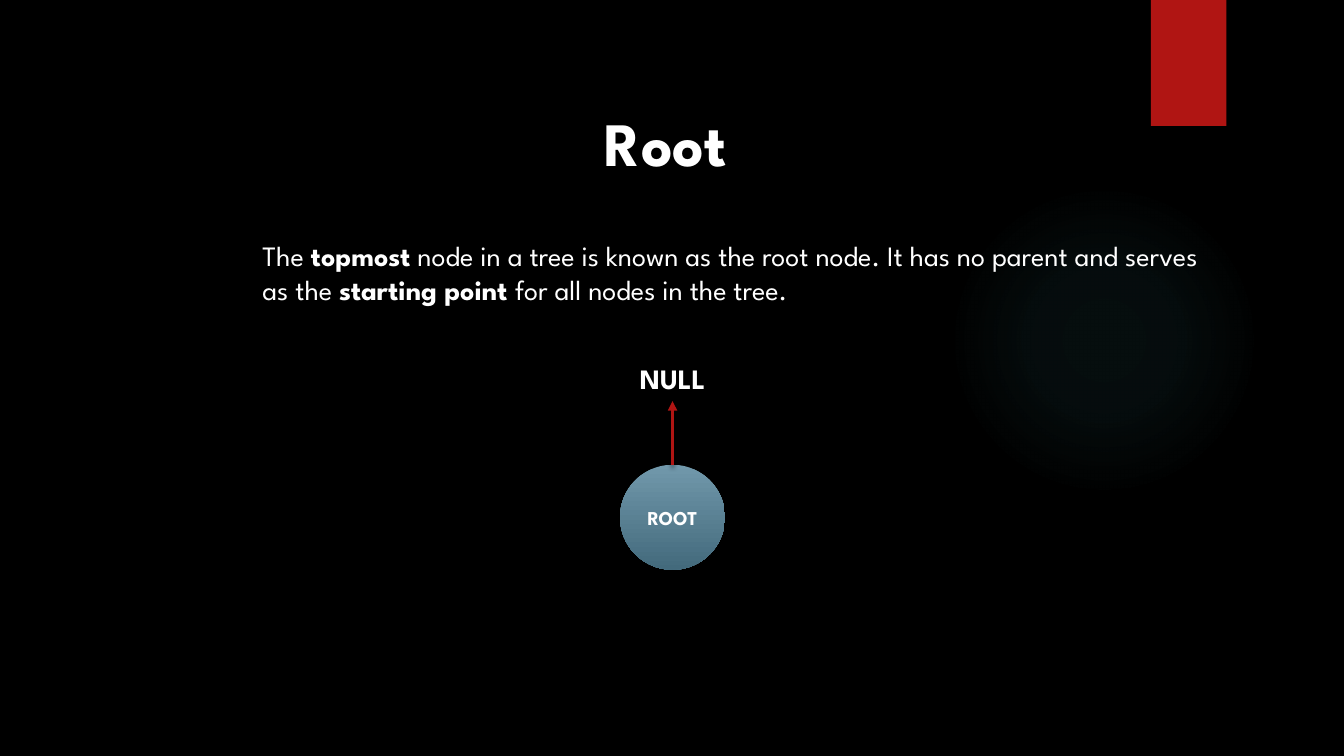
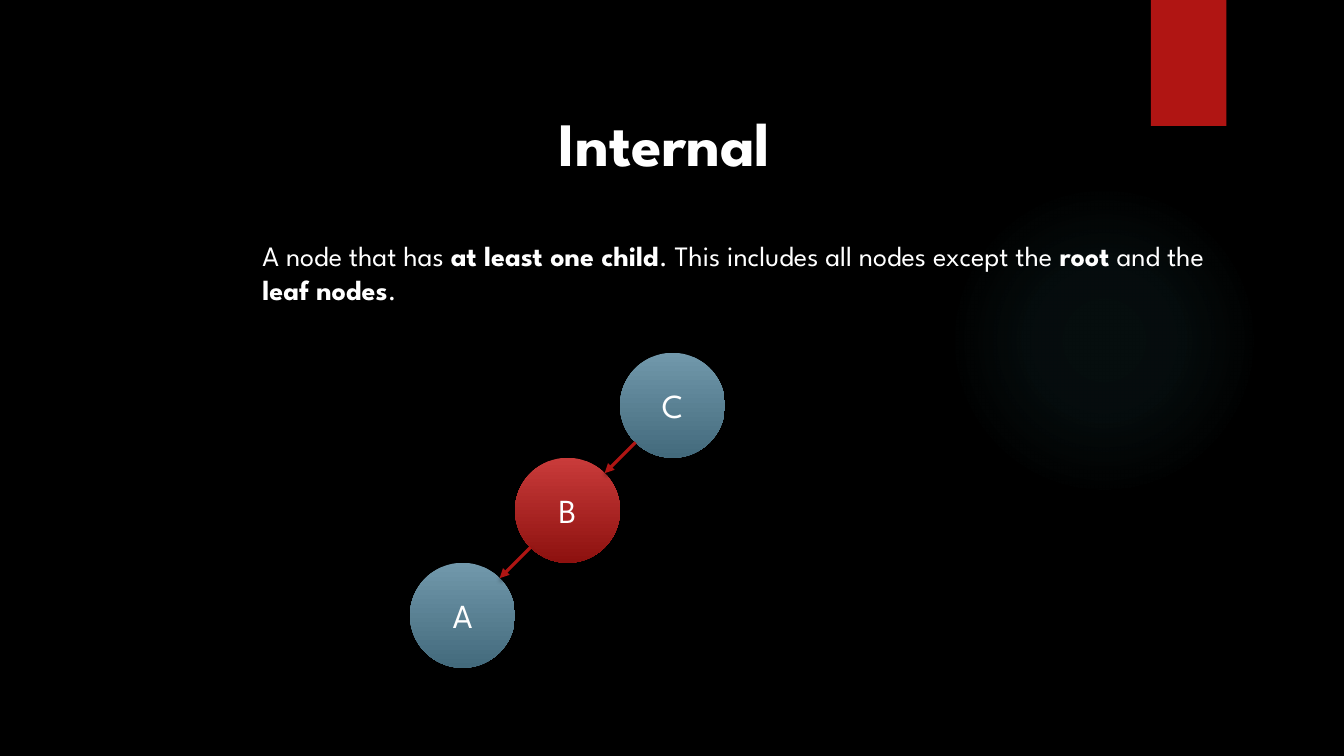
from math import sqrt

from lxml import etree
from pptx import Presentation
from pptx.dml.color import RGBColor
from pptx.enum.shapes import MSO_CONNECTOR, MSO_SHAPE
from pptx.enum.text import MSO_ANCHOR, MSO_AUTO_SIZE, PP_ALIGN
from pptx.oxml import parse_xml
from pptx.oxml.ns import nsdecls, qn
from pptx.util import Pt

# Content: body runs are (text, bold)
ROOT_TITLE = ("Root", 110.5)
ROOT_BODY = [
    ("The ", False),
    ("topmost", True),
    (" node in a tree is known as the root node. It has no parent and serves as the ", False),
    ("starting point ", True),
    ("for all nodes in the tree.", False),
]
INTERNAL_TITLE = ("Internal", 176)
INTERNAL_BODY = [
    ("A node that has ", False),
    ("at least one child", True),
    (". This includes all nodes except the ", False),
    ("root", True),
    (" and the ", False),
    ("leaf nodes", True),
    (".", False),
]

# Shared style
FONT = "League Spartan"
BLACK, WHITE, RED, TEAL = "000000", "FFFFFF", "B01513", "50B9C1"
BLUE_NODE = ("7198AB", "436A7C")
RED_NODE = ("C93B3A", "8D110F")
CHAIN = [("C", BLUE_NODE), ("B", RED_NODE), ("A", BLUE_NODE)]
GLOW_STOPS = [(0, 7), (36, 6), (69, 0)]  # position %, opacity %
WIDTH, HEIGHT = 960, 540
CENTER = WIDTH / 2
NODE = 75
NODE_CENTER = 480.4


def color(value):
    return RGBColor.from_string(value)


def add_span(para, text, size, bold=False):
    span = para.add_run()
    span.text = text
    span.font.name = FONT
    span.font.size = Pt(size)
    span.font.bold = bold
    span.font.color.rgb = color(WHITE)


def place(shape, left, top, width, height):
    shape.left, shape.top = Pt(left), Pt(top)
    shape.width, shape.height = Pt(width), Pt(height)


def add_shadow(shape, opacity, blur, distance):
    shape.element.spPr.append(parse_xml(
        f'<a:effectLst {nsdecls("a")}><a:outerShdw blurRad="{Pt(blur)}" dist="{Pt(distance)}" '
        f'dir="5400000" rotWithShape="0"><a:srgbClr val="{BLACK}">'
        f'<a:alpha val="{opacity * 1000}"/></a:srgbClr></a:outerShdw></a:effectLst>'))


def add_plain_shape(page, kind, left, top, width, height):
    shape = page.shapes.add_shape(kind, Pt(left), Pt(top), Pt(width), Pt(height))
    shape.line.fill.background()
    return shape


def add_backdrop(page):
    """Draw the glow and the ribbon behind the text."""
    glow = add_plain_shape(page, MSO_SHAPE.OVAL, 677.5, 131.75, 222, 222)
    glow.shadow.inherit = False
    stops = "".join(
        f'<a:gs pos="{position * 1000}"><a:srgbClr val="{TEAL}">'
        f'<a:alpha val="{opacity * 1000}"/></a:srgbClr></a:gs>'
        for position, opacity in GLOW_STOPS)
    glow.element.spPr.find(qn("a:prstGeom")).addnext(parse_xml(
        f'<a:gradFill {nsdecls("a")}><a:gsLst>{stops}</a:gsLst><a:path path="circle">'
        '<a:fillToRect l="50000" t="50000" r="50000" b="50000"/></a:path></a:gradFill>'))

    ribbon = add_plain_shape(page, MSO_SHAPE.RECTANGLE, 822, 0, 54, 90)
    ribbon.fill.solid()
    ribbon.fill.fore_color.rgb = color(RED)
    add_shadow(ribbon, 45, 3, 2)

    title = page.shapes.title.element
    for part in (glow, ribbon):
        title.addprevious(part.element)


def fill_page(page, title, body):
    # Title, centred as a box on the page
    text, width = title
    box = page.shapes.title
    place(box, CENTER - width / 2, 71.25, width, 60.5)
    frame = box.text_frame
    frame.word_wrap = False
    frame.auto_size = MSO_AUTO_SIZE.SHAPE_TO_FIT_TEXT
    frame.vertical_anchor = MSO_ANCHOR.TOP
    frame.paragraphs[0].alignment = PP_ALIGN.LEFT
    add_span(frame.paragraphs[0], text, 44, True)

    # Body without bullet
    box = page.placeholders[1]
    place(box, 180.25, 166.75, 690.5, 55.5)
    frame = box.text_frame
    frame.word_wrap = True
    frame.auto_size = MSO_AUTO_SIZE.SHAPE_TO_FIT_TEXT
    para = frame.paragraphs[0]
    properties = para._p.get_or_add_pPr()
    properties.set("marL", "0")
    properties.set("indent", "0")
    etree.SubElement(properties, qn("a:buNone"))
    para.space_before, para.space_after = Pt(0), Pt(18)
    for text, bold in body:
        add_span(para, text, 20, bold)


def add_node(page, label, left, top, colors, size=24, bold=False):
    node = add_plain_shape(page, MSO_SHAPE.OVAL, left, top, NODE, NODE)
    node.fill.gradient()
    node.fill.gradient_angle = 270
    for stop, value in zip(node.fill.gradient_stops, colors):
        stop.color.rgb = color(value)
    add_shadow(node, 60, 5, 3)
    node.text_frame.vertical_anchor = MSO_ANCHOR.MIDDLE
    para = node.text_frame.paragraphs[0]
    para.alignment = PP_ALIGN.CENTER
    add_span(para, label, size, bold)
    return node


def add_arrow(page, x1, y1, x2, y2):
    arrow = page.shapes.add_connector(MSO_CONNECTOR.STRAIGHT, Pt(x1), Pt(y1), Pt(x2), Pt(y2))
    arrow.line.color.rgb = color(RED)
    arrow.line.width = Pt(2.25)
    etree.SubElement(arrow.line._get_or_add_ln(), qn("a:tailEnd"), type="triangle")
    add_shadow(arrow, 45, 3, 2)
    return arrow


def draw_root(page):
    left, top, null_top, null_height = NODE_CENTER - NODE / 2, 332, 255, 31.5
    root = add_node(page, "ROOT", left, top, BLUE_NODE, 14, True)
    null = page.shapes.add_textbox(Pt(left), Pt(null_top), Pt(NODE), Pt(null_height))
    null.text_frame.word_wrap = True
    para = null.text_frame.paragraphs[0]
    para.alignment = PP_ALIGN.CENTER
    add_span(para, "NULL", 20, True)
    arrow = add_arrow(page, NODE_CENTER, top, NODE_CENTER, null_top + null_height)
    arrow.begin_connect(root, 0)
    arrow.end_connect(null, 2)


def draw_chain(page):
    # Each child sits one node lower and one node to the left
    reach = NODE / 2 / sqrt(2)
    for step, (label, colors) in enumerate(CHAIN):
        x, y = NODE_CENTER - step * NODE, 289.5 + step * NODE
        add_node(page, label, x - NODE / 2, y - NODE / 2, colors)
        if step:
            add_arrow(page, x + NODE - reach, y - NODE + reach, x + reach, y - reach)


def main():
    deck = Presentation()
    deck.slide_width, deck.slide_height = Pt(WIDTH), Pt(HEIGHT)
    background = deck.slide_master.background.fill
    background.solid()
    background.fore_color.rgb = color(BLACK)
    pages = [
        (ROOT_TITLE, ROOT_BODY, draw_root),
        (INTERNAL_TITLE, INTERNAL_BODY, draw_chain),
    ]
    for title, body, draw in pages:
        page = deck.slides.add_slide(deck.slide_layouts[1])
        add_backdrop(page)
        fill_page(page, title, body)
        draw(page)
    deck.save("out.pptx")


if __name__ == "__main__":
    main()
